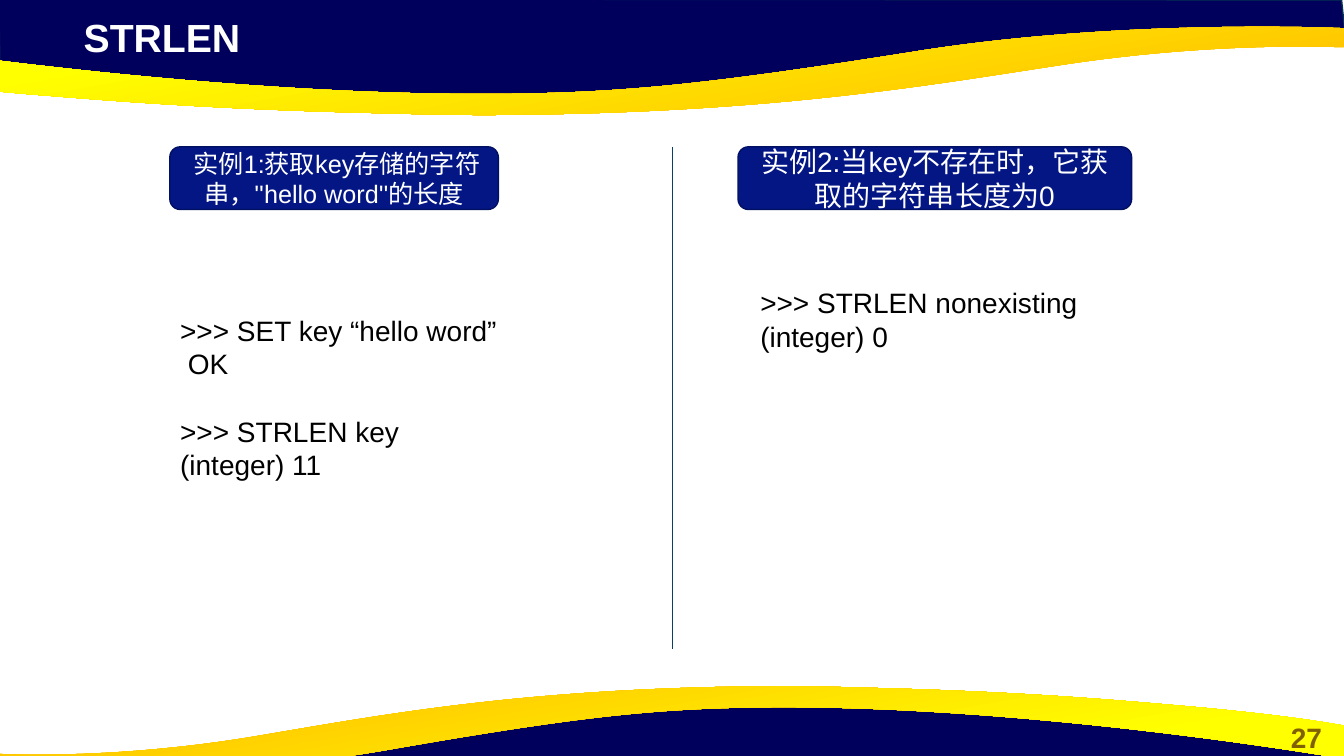
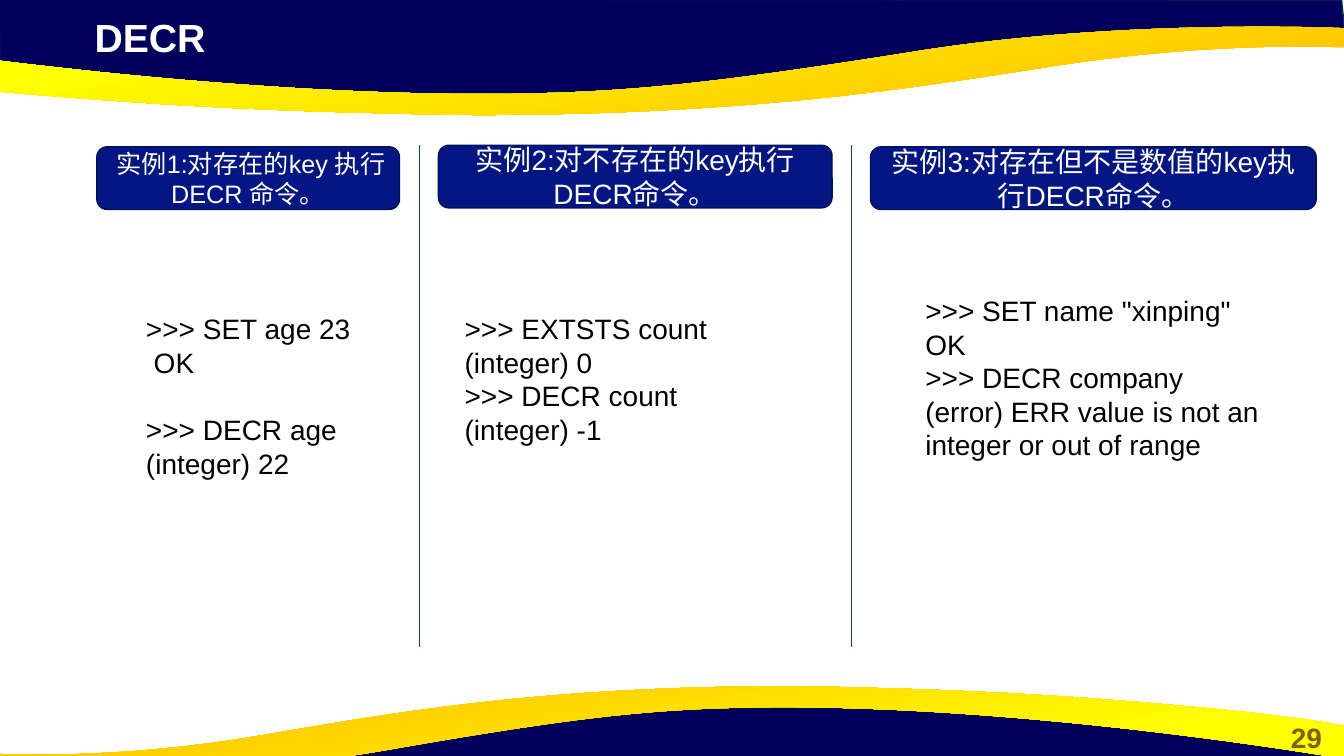
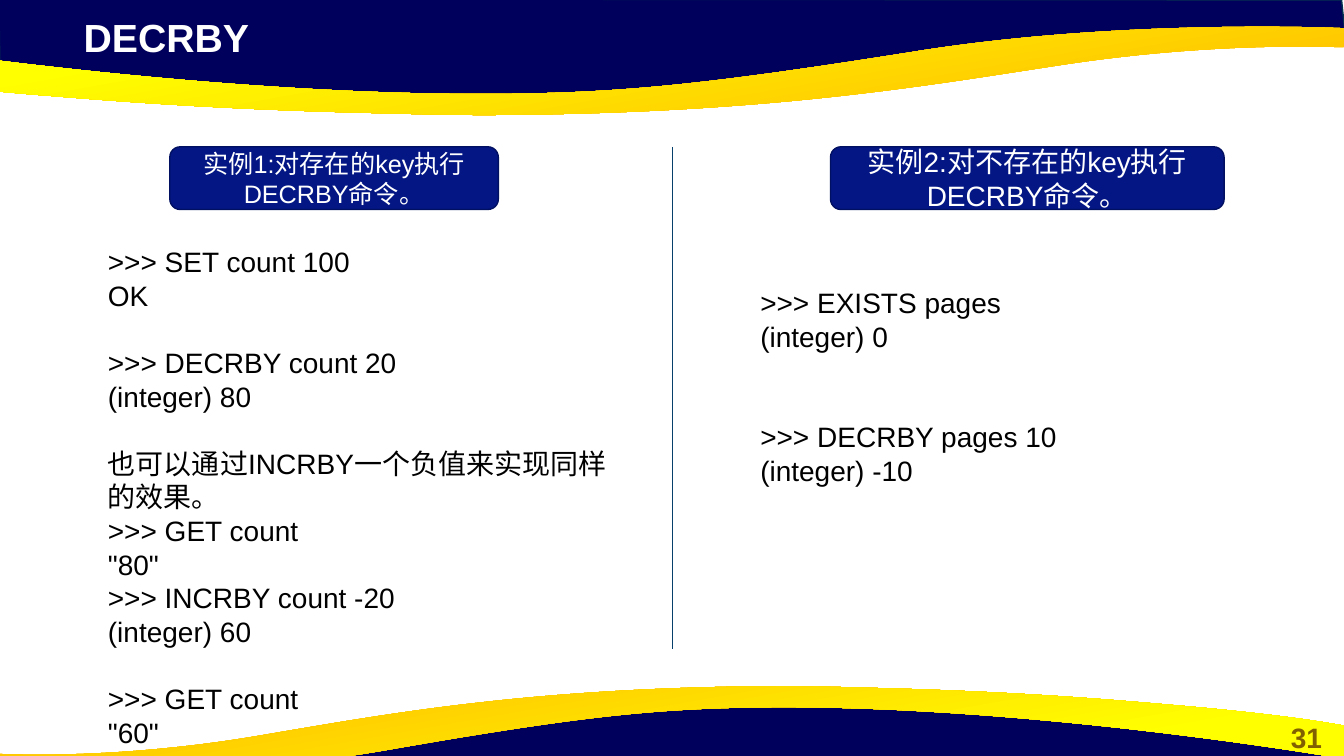
import dataclasses
import lxml.etree
import pptx
import pptx.dml.color
import pptx.enum.shapes
import pptx.enum.text
import pptx.oxml.ns
import pptx.util

Cm = pptx.util.Cm
Pt = pptx.util.Pt
qn = pptx.oxml.ns.qn
PP_ALIGN = pptx.enum.text.PP_ALIGN
FONT = "Arial"
LINE_HEIGHT = 24
SLIDE_WIDTH, SLIDE_HEIGHT = 33.87, 19.05
NAVY, NAVY_EDGE = "00005C", "05304F"
ORANGE, YELLOW = "FFC000", "FFFF00"
HEADING_FILL, HEADING_EDGE = "031684", "021062"
DIVIDER, PAGE_NUMBER = "07416B", "806000"
WHITE, BLACK = "FFFFFF", "000000"

NAVY_BAND = [[point] for point in (
    (-0.03, -0.03), (0, 1.78), (7.44, 2.59), (14.2, 2.54), (20.19, 2.24),
    (25.81, 1.27), (31.45, 0.84), (33.91, 0.97), (33.81, 0),
)]
GOLD_BAND = [
    [(12.27, 2.9)],
    [(11.25, 2.9), (10.19, 2.87), (9.04, 2.84)],
    [(5.23, 2.74), (2.79, 2.54), (0.91, 2.39)],
    [(-2.24, 2.13), (-3.3, 1.91), (-3.38, 1.91)],
    [(-3.38, 1.07)],
    [(-3.38, 1.07), (5.54, 2.49), (13.13, 2.36)],
    [(15.9, 2.31), (17.98, 2.11), (23.24, 1.27)],
    [(28.47, 0.46), (33.86, 0.71), (33.86, 0.71)],
    [(33.86, 1.19)],
    [(33.78, 1.19)],
    [(33.15, 1.17), (30.35, 1.09), (26.8, 1.63)],
    [(23.32, 2.16), (19.35, 2.87), (12.27, 2.9)],
]


@dataclasses.dataclass
class Example:
    heading: str
    heading_box: tuple
    heading_size: int
    code_box: tuple
    code: list
    gap_lines: int = 1


def color(hex_value):
    return pptx.dml.color.RGBColor.from_string(hex_value)


def lengths(box):
    return [Cm(value) for value in box]


def within(area, box):
    return (area[0] + box[0], area[1] + box[1], box[2], box[3])


def write_text(frame, blocks, size=20, fill=BLACK, bold=False,
               align=PP_ALIGN.LEFT, gap_lines=1):
    frame.word_wrap = True
    paragraph = frame.paragraphs[0]
    for block_index, block in enumerate(blocks):
        for line_index, line in enumerate(block):
            if block_index or line_index:
                paragraph = frame.add_paragraph()
            if block_index and not line_index:
                paragraph.space_before = Pt(LINE_HEIGHT * gap_lines)
            paragraph.alignment = align
            run = paragraph.add_run()
            run.text = line
            run.font.name = FONT
            run.font.size = Pt(size)
            run.font.bold = bold
            run.font.color.rgb = color(fill)


def add_label(slide, box, blocks, **text_format):
    label = slide.shapes.add_textbox(*lengths(box))
    write_text(label.text_frame, blocks, **text_format)


def rotate_band(band, right, bottom, left=0, stretch=1):
    return [[(right - stretch * (x - left), bottom - y) for x, y in segment]
            for segment in band]


def bend_line(line, controls, outline):
    line.tag = qn("a:cubicBezTo")
    for position, (x, y) in enumerate(controls):
        control = lxml.etree.Element(qn("a:pt"))
        control.set("x", str(Cm(x) - outline.left))
        control.set("y", str(Cm(y) - outline.top))
        line.insert(position, control)


def add_outline(slide, band):
    corners = [(Cm(segment[-1][0]), Cm(segment[-1][1])) for segment in band]
    builder = slide.shapes.build_freeform(*corners[0])
    builder.add_line_segments(corners[1:], close=True)
    outline = builder.convert_to_shape()
    outline.shadow.inherit = False
    lines = list(outline._element.iter(qn("a:lnTo")))
    for line, segment in zip(lines, band[1:]):
        if len(segment) == 3:
            bend_line(line, segment[:2], outline)
    return outline


def add_wave(slide, navy_band, gold_band, angle):
    navy = add_outline(slide, navy_band)
    navy.fill.solid()
    navy.fill.fore_color.rgb = color(NAVY)
    navy.line.color.rgb = color(NAVY_EDGE)
    navy.line.width = Pt(1)
    gold = add_outline(slide, gold_band)
    gold.line.fill.background()
    gold.fill.gradient()
    gold.fill.gradient_angle = angle
    stops = ((0.11, ORANGE), (0.78, YELLOW))
    for stop, (position, hex_value) in zip(gold.fill.gradient_stops, stops):
        stop.position = position
        stop.color.rgb = color(hex_value)


def add_frame(slide, title, number):
    add_wave(slide, NAVY_BAND, GOLD_BAND, 100)
    add_wave(slide, rotate_band(NAVY_BAND, 33.83, 20.14),
             rotate_band(GOLD_BAND, 33.86, 20.19, left=-3.38, stretch=0.91), 280)
    add_label(slide, (32, 18.03, 1.85, 1.12), [[number]],
              bold=True, fill=PAGE_NUMBER, align=PP_ALIGN.CENTER)
    add_label(slide, (1.86, 0.21, 19.51, 1.45), [[title]],
              size=28, bold=True, fill=WHITE)


def add_heading(slide, box, text, size):
    heading = slide.shapes.add_shape(
        pptx.enum.shapes.MSO_SHAPE.ROUNDED_RECTANGLE, *lengths(box))
    heading.shadow.inherit = False
    heading.fill.solid()
    heading.fill.fore_color.rgb = color(HEADING_FILL)
    heading.line.color.rgb = color(HEADING_EDGE)
    heading.line.width = Pt(1)
    heading.text_frame.vertical_anchor = pptx.enum.text.MSO_ANCHOR.MIDDLE
    write_text(heading.text_frame, [[text]], size=size, fill=WHITE, align=PP_ALIGN.CENTER)


def add_divider(slide, area):
    left, top, _, height = area
    divider = slide.shapes.add_connector(
        pptx.enum.shapes.MSO_CONNECTOR.STRAIGHT,
        *lengths((left, top, left, top + height)))
    divider.line.color.rgb = color(DIVIDER)
    divider.line.width = Pt(0.5)
    lxml.etree.SubElement(divider._element.spPr, qn("a:effectLst"))


def add_example(slide, area, example):
    add_heading(slide, within(area, example.heading_box),
                example.heading, example.heading_size)
    add_label(slide, within(area, example.code_box), example.code,
              gap_lines=example.gap_lines)


def add_command_slide(deck, title, number, examples, column_lefts, top=3.7):
    slide = deck.slides.add_slide(deck.slide_layouts[6])
    add_frame(slide, title, number)
    column_rights = [*column_lefts[1:], SLIDE_WIDTH]
    for left, right, example in zip(column_lefts, column_rights, examples):
        area = (left, top, right - left, 12.65)
        if left:
            add_divider(slide, area)
        add_example(slide, area, example)


def main():
    deck = pptx.Presentation()
    deck.slide_width, deck.slide_height = Cm(SLIDE_WIDTH), Cm(SLIDE_HEIGHT)
    halves = (0, 16.94)
    left_heading = (4.28, 0, 8.28, 1.58)

    add_command_slide(deck, "STRLEN", "27", [
        Example(" 实例1:获取key存储的字符串，''hello word''的长度",
                left_heading, 18, (4.29, 4.07, 8.66, 4.52),
                [[">>> SET key “hello word”", " OK"],
                 [">>> STRLEN key", "(integer) 11"]]),
        Example("实例2:当key不存在时，它获取的字符串长度为0",
                (1.66, 0, 9.92, 1.58), 20, (1.97, 3.37, 12.6, 1.96),
                [[">>> STRLEN nonexisting", "(integer) 0"]]),
    ], halves)

    add_command_slide(deck, " DECR", "29", [
        Example(" 实例1:对存在的key 执行DECR 命令。",
                (2.44, 0.04, 7.63, 1.58), 18, (3.43, 4.07, 5.69, 4.52),
                [[">>> SET age 23", " OK"], [">>> DECR age", "(integer) 22"]]),
        Example("实例2:对不存在的key执行DECR命令。",
                (0.48, 0, 9.92, 1.58), 20, (0.89, 4.07, 9.09, 3.68),
                [[">>> EXTSTS count", "(integer) 0", ">>> DECR count", "(integer) -1"]]),
        Example("实例3:对存在但不是数值的key执行DECR命令。",
                (0.48, 0.04, 11.23, 1.58), 20, (1.61, 3.61, 9.09, 4.52),
                [['>>> SET name "xinping"', "OK", ">>> DECR company",
                  "(error) ERR value is not an integer or out of range"]]),
    ], (0, 10.57, 21.46), top=3.66)

    add_command_slide(deck, "DECRBY", "31", [
        Example("实例1:对存在的key执行DECRBY命令。",
                left_heading, 18, (2.47, 2.34, 13.13, 13.08),
                [[">>> SET count 100", "OK"],
                 [">>> DECRBY count 20", "(integer) 80"],
                 ["也可以通过INCRBY一个负值来实现同样的效果。",
                  ">>> GET count", '"80"', ">>> INCRBY count -20", "(integer) 60"],
                 [">>> GET count", '"60"']]),
        Example("实例2:对不存在的key执行DECRBY命令。",
                (3.99, 0, 9.92, 1.58), 20, (1.97, 3.37, 12.6, 5.38),
                [[">>> EXISTS pages", "(integer) 0"],
                 [">>> DECRBY pages 10", "(integer) -10"]], gap_lines=2),
    ], halves)

    deck.save("out.pptx")


if __name__ == "__main__":
    main()
